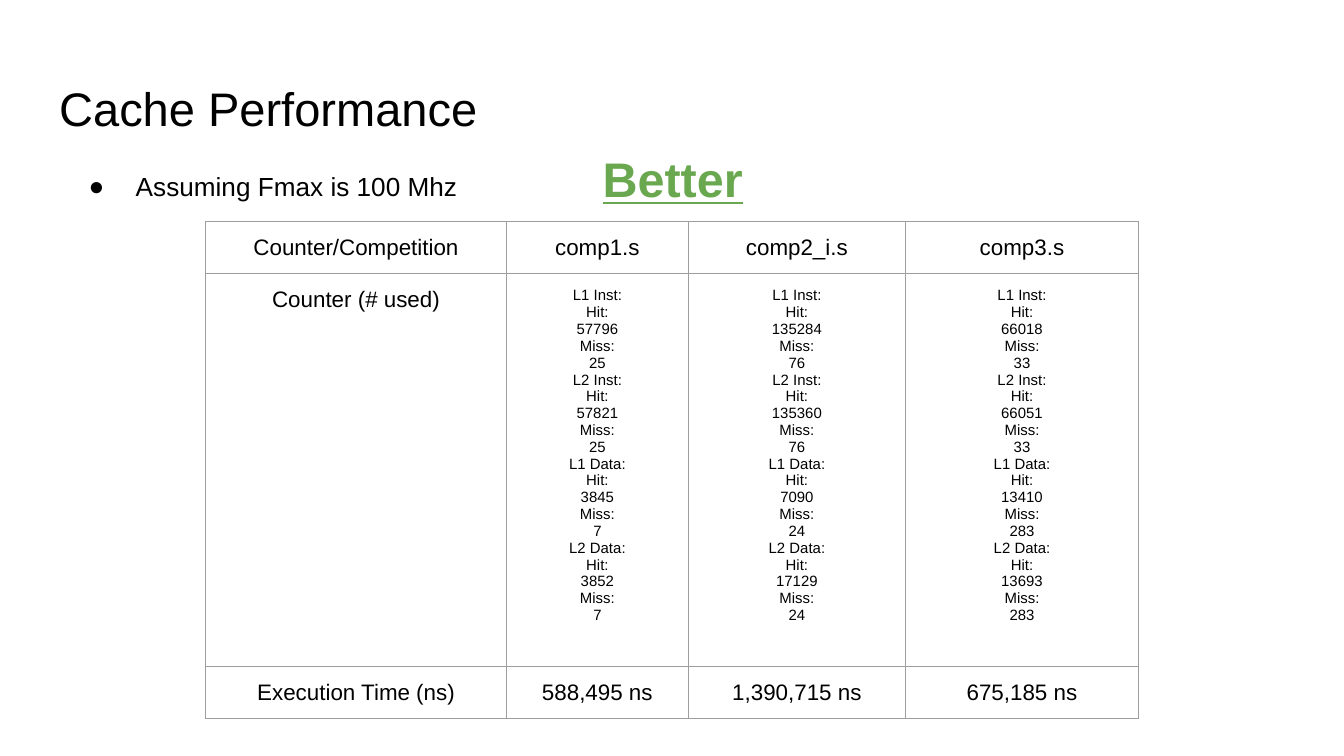
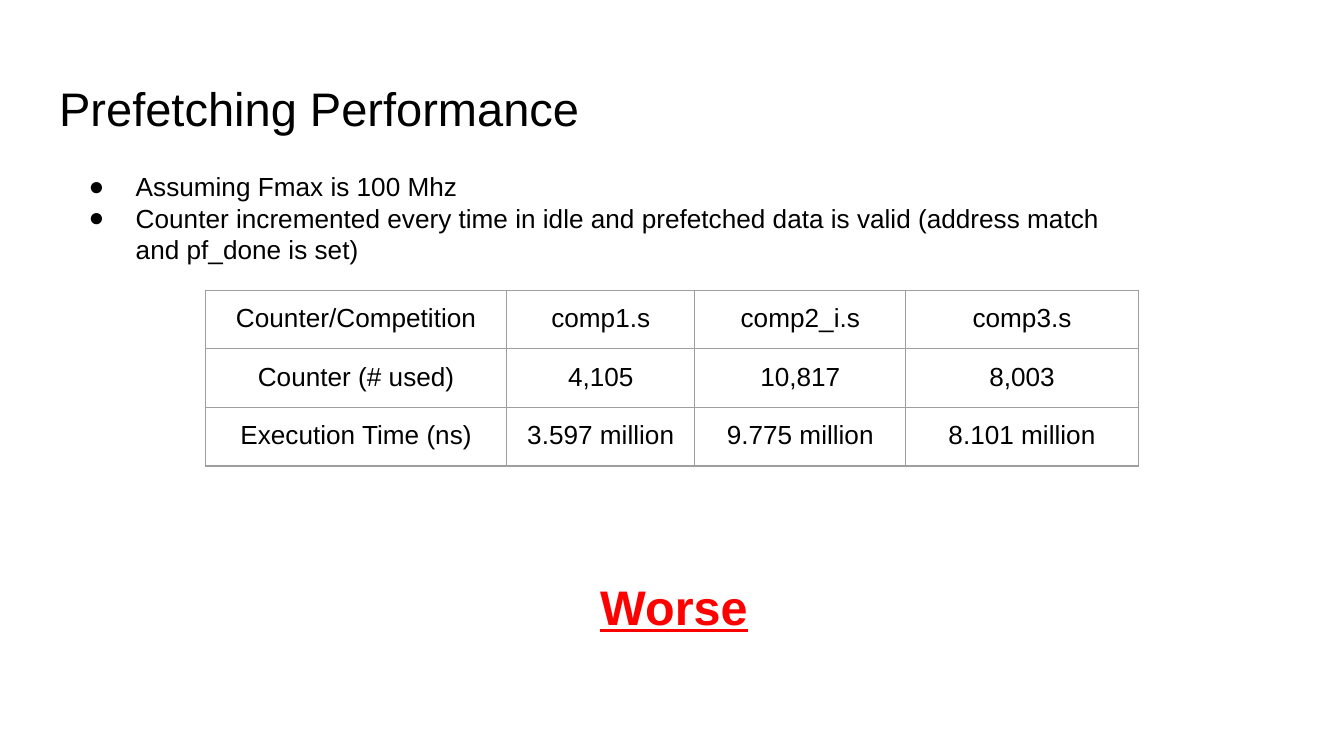
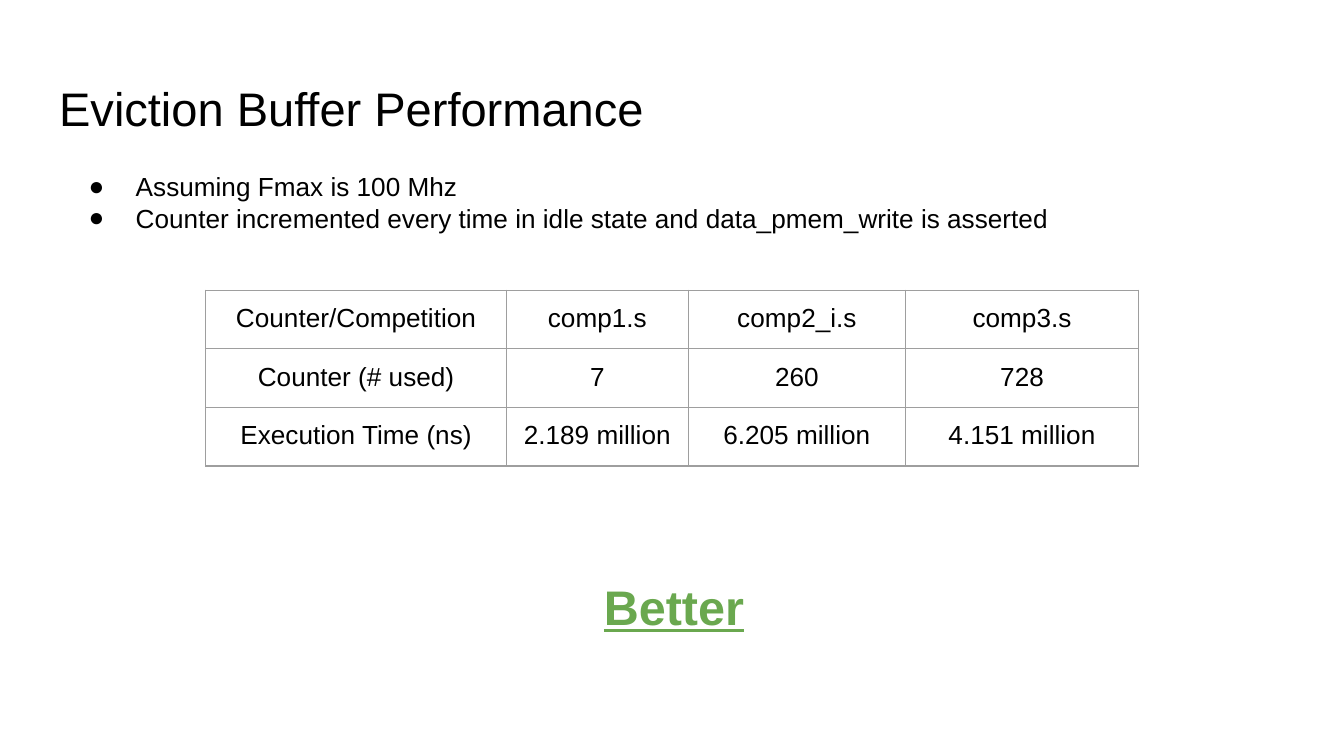
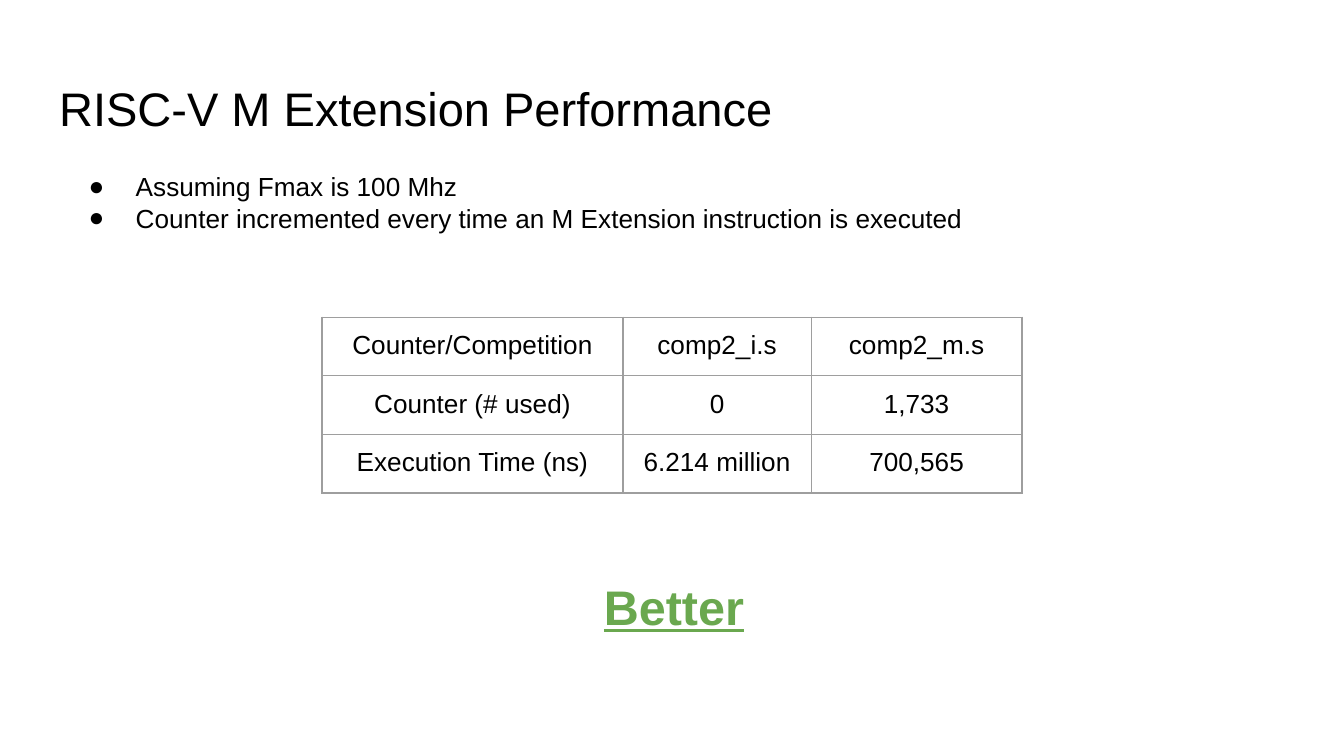
"""Build four slides that compare processor performance counters."""
from lxml import etree
from pptx import Presentation
from pptx.dml.color import RGBColor
from pptx.enum import text as t
from pptx.oxml import ns
from pptx.util import Pt

COLORS = {"ink": "000000", "grid": "9E9E9E", "Better": "6AA84F", "Worse": "FF0000"}
FONT = "Arial"
SLIDE_W, SLIDE_H = 720, 405
INSET = 7.2
TITLE_BOX = (24.5, 35.3, 671, 45.4)
TITLE_SIZE, VERDICT_SIZE, BULLET_SIZE, COUNTER_SIZE = 25.2, 26, 14, 8
BULLET_INDENT, BULLET_HANG = 36, 25.2
VERDICT_W, VERDICT_H = 226.8, 46

FMAX = "Assuming Fmax is 100 Mhz"
HEADING = "Counter/Competition"
COUNTER = "Counter (# used)"
TIME = "Execution Time (ns)"
CACHES = ("L1 Inst", "L2 Inst", "L1 Data", "L2 Data")
WIDE_COLS = (161.3, 97.2, 116.6, 124.6)
EVEN_COLS = (161.3, 100.8, 113, 124.6)
SHORT_ROWS = (31.4, 31.4, 31.4)


def cache_counts(*hits_and_misses):
    return "\n".join(f"{cache}:\nHit:\n{hit}\nMiss:\n{miss}"
                     for cache, (hit, miss) in zip(CACHES, hits_and_misses))


SLIDES = [
    {"title": "Cache Performance",
     "bullets": [FMAX], "bullet_box": (226.8, 48.2),
     "verdict": "Better", "verdict_at": (247, 72.7),
     "top": 118.8, "cols": WIDE_COLS, "heights": (27.9, 210.3, 27.9), "size": 12,
     "rows": [
         (HEADING, "comp1.s", "comp2_i.s", "comp3.s"),
         (COUNTER,
          cache_counts((57796, 25), (57821, 25), (3845, 7), (3852, 7)),
          cache_counts((135284, 76), (135360, 76), (7090, 24), (17129, 24)),
          cache_counts((66018, 33), (66051, 33), (13410, 283), (13693, 283))),
         (TIME, "588,495 ns", "1,390,715 ns", "675,185 ns")]},
    {"title": "Prefetching Performance",
     "bullets": [FMAX, "Counter incremented every time in idle and prefetched data is valid "
                       "(address match and pf_done is set)"],
     "bullet_box": (580.3, 65.5),
     "verdict": "Worse", "verdict_at": (247.7, 301.7),
     "top": 155.5, "cols": EVEN_COLS, "heights": SHORT_ROWS, "size": 14,
     "rows": [
         (HEADING, "comp1.s", "comp2_i.s", "comp3.s"),
         (COUNTER, "4,105", "10,817", "8,003"),
         (TIME, "3.597 million", "9.775 million", "8.101 million")]},
    {"title": "Eviction Buffer Performance",
     "bullets": [FMAX, "Counter incremented every time in idle state and "
                       "data_pmem_write is asserted"],
     "bullet_box": (580.3, 48.2),
     "verdict": "Better", "verdict_at": (247.7, 301.7),
     "top": 155.5, "cols": WIDE_COLS, "heights": SHORT_ROWS, "size": 14,
     "rows": [
         (HEADING, "comp1.s", "comp2_i.s", "comp3.s"),
         (COUNTER, "7", "260", "728"),
         (TIME, "2.189 million", "6.205 million", "4.151 million")]},
    {"title": "RISC-V M Extension Performance",
     "bullets": [FMAX, "Counter incremented every time an M Extension instruction is executed"],
     "bullet_box": (580.3, 48.2),
     "verdict": "Better", "verdict_at": (247.7, 301.7),
     "top": 170, "cols": EVEN_COLS[:3], "heights": SHORT_ROWS, "size": 14,
     "rows": [
         (HEADING, "comp2_i.s", "comp2_m.s"),
         (COUNTER, "0", "1,733"),
         (TIME, "6.214 million", "700,565")]},
]


def place(part, left, top, width, height):
    part.left, part.top, part.width, part.height = map(Pt, (left, top, width, height))


def style(frame, size, align, color="ink", strong=False):
    for paragraph in frame.paragraphs:
        paragraph.alignment = align
        paragraph.space_before = Pt(0)
        for run in paragraph.runs:
            run.font.name = FONT
            run.font.size = Pt(size)
            run.font.bold = run.font.underline = strong
            run.font.color.rgb = RGBColor.from_string(COLORS[color])


def fill_text(part, words, size, align=t.PP_ALIGN.LEFT, **look):
    frame = part.text_frame
    frame.text = words
    frame.word_wrap = True
    frame.auto_size = t.MSO_AUTO_SIZE.NONE
    frame.vertical_anchor = t.MSO_ANCHOR.TOP
    frame.margin_left = frame.margin_right = Pt(INSET)
    frame.margin_top = frame.margin_bottom = Pt(INSET)
    style(frame, size, align, **look)
    return frame


def add_color(parent, color):
    etree.SubElement(parent, ns.qn("a:srgbClr"), val=COLORS[color])


def add_bullets(frame):
    for paragraph in frame.paragraphs:
        props = paragraph._p.get_or_add_pPr()
        props.set("marL", str(Pt(BULLET_INDENT)))
        props.set("indent", str(-Pt(BULLET_HANG)))
        add_color(etree.SubElement(props, ns.qn("a:buClr")), "ink")
        etree.SubElement(props, ns.qn("a:buFont"), typeface=FONT)
        etree.SubElement(props, ns.qn("a:buChar"), char="●")


def add_borders(cell):
    props = cell._tc.get_or_add_tcPr()
    for position, side in enumerate(("lnL", "lnR", "lnT", "lnB")):
        border = etree.Element(ns.qn(f"a:{side}"), w=str(Pt(0.75)))
        add_color(etree.SubElement(border, ns.qn("a:solidFill")), "grid")
        props.insert(position, border)


def add_results(slide, content):
    cols, heights, rows = content["cols"], content["heights"], content["rows"]
    width = sum(cols)
    box = map(Pt, ((SLIDE_W - width) / 2, content["top"], width, sum(heights)))
    results = slide.shapes.add_table(len(rows), len(cols), *box).table
    results.first_row = results.horz_banding = False
    for column, col_width in zip(results.columns, cols):
        column.width = Pt(col_width)
    for row, height, values in zip(results.rows, heights, rows):
        row.height = Pt(height)
        for cell, value in zip(row.cells, values):
            cell.text_frame.text = value
            cell.margin_left = cell.margin_right = Pt(INSET)
            cell.margin_top = cell.margin_bottom = Pt(INSET)
            size = COUNTER_SIZE if "\n" in value else content["size"]
            style(cell.text_frame, size, t.PP_ALIGN.CENTER)
            cell.fill.background()
            add_borders(cell)


def add_slide(deck, content):
    slide = deck.slides.add_slide(deck.slide_layouts[1])
    title, bullets = slide.placeholders
    place(title, *TITLE_BOX)
    fill_text(title, content["title"], TITLE_SIZE)
    place(bullets, 29.5, 84.2, *content["bullet_box"])
    add_bullets(fill_text(bullets, "\n".join(content["bullets"]), BULLET_SIZE))
    add_results(slide, content)
    box = map(Pt, (*content["verdict_at"], VERDICT_W, VERDICT_H))
    verdict = slide.shapes.add_textbox(*box)
    fill_text(verdict, content["verdict"], VERDICT_SIZE, t.PP_ALIGN.CENTER,
              color=content["verdict"], strong=True)


def main():
    deck = Presentation()
    deck.slide_width, deck.slide_height = Pt(SLIDE_W), Pt(SLIDE_H)
    for content in SLIDES:
        add_slide(deck, content)
    deck.save("out.pptx")


if __name__ == "__main__":
    main()
